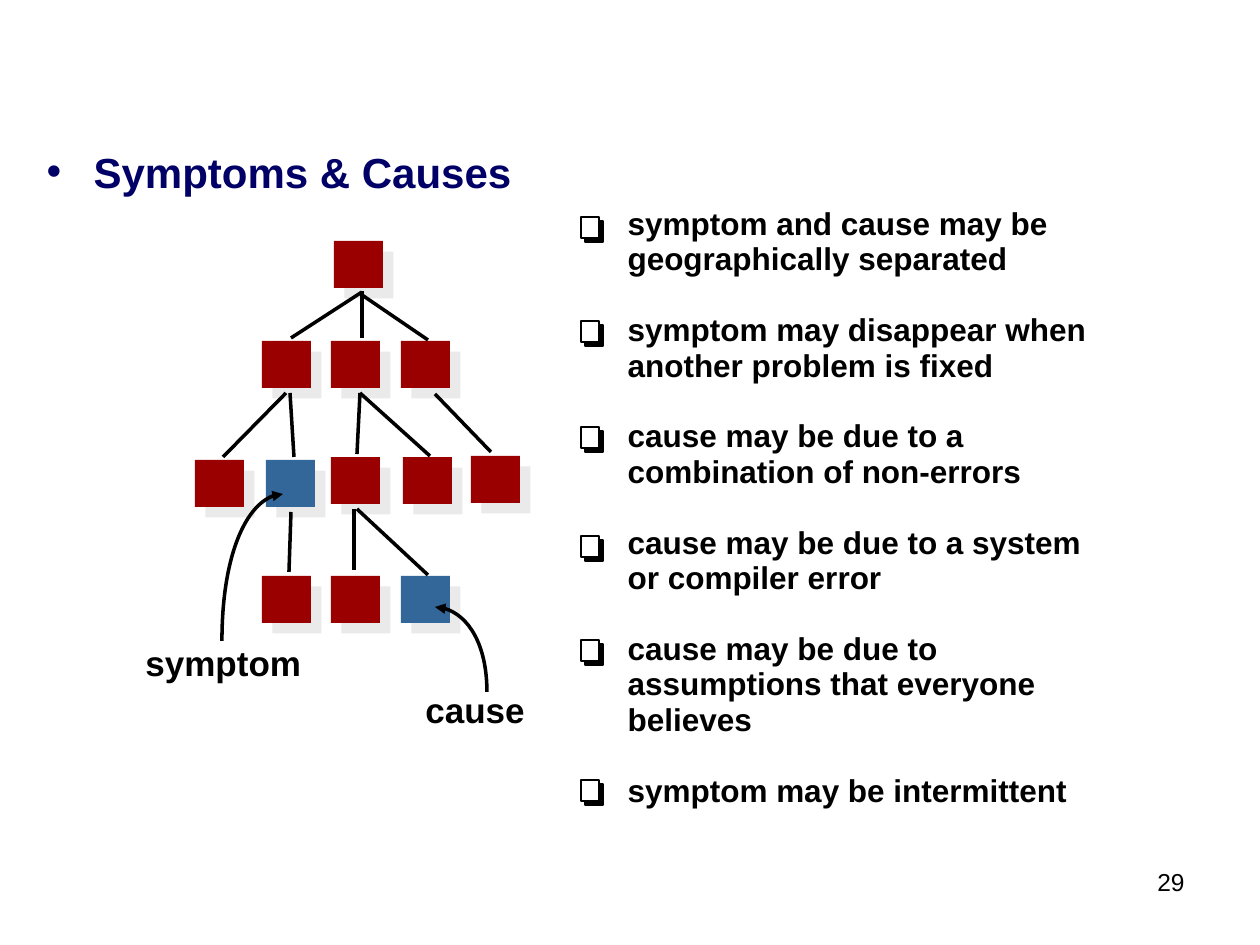
from dataclasses import dataclass

from lxml.etree import SubElement
from pptx import Presentation
from pptx.dml.color import RGBColor
from pptx.enum.shapes import MSO_CONNECTOR, MSO_SHAPE
from pptx.enum.text import MSO_ANCHOR, MSO_AUTO_SIZE, PP_ALIGN
from pptx.oxml.ns import qn
from pptx.util import Emu, Inches, Pt

EMU_PER_PX = Inches(1) / 126


@dataclass(frozen=True)
class Theme:
    font: str = "Arial"
    ink: str = "000000"
    paper: str = "FFFFFF"
    heading: str = "000066"
    module: str = "9A0000"
    marked: str = "336699"
    shadow: str = "EAEAEA"
    heading_size: float = 24
    label_size: float = 20
    list_size: float = 18
    list_pitch: float = 20.25
    number_size: float = 14
    outline: float = 1
    link: float = 2


def px(length):
    return Emu(round(length * EMU_PER_PX))


def rgb(value):
    return RGBColor.from_string(value)


class SlideBuilder:
    def __init__(self, slide, theme):
        self.slide = slide
        self.theme = theme

    def place(self, shape, *bounds):
        shape.left, shape.top, shape.width, shape.height = map(px, bounds)

    def add_text(self, paragraph, text, size, color, bold=True):
        run = paragraph.add_run()
        run.text = text
        run.font.name = self.theme.font
        run.font.size = Pt(size)
        run.font.bold = bold
        run.font.color.rgb = rgb(color)

    def heading(self, text, *bounds):
        title = self.slide.shapes.title
        self.place(title, *bounds)
        title.text_frame.vertical_anchor = MSO_ANCHOR.TOP
        paragraph = title.text_frame.paragraphs[0]
        props = paragraph._p.get_or_add_pPr()
        props.set("marL", str(px(47)))
        props.set("indent", str(px(-47)))
        bullet_color = SubElement(props, qn("a:buClr"))
        SubElement(bullet_color, qn("a:srgbClr"), val=self.theme.heading)
        SubElement(props, qn("a:buFont"), typeface=self.theme.font)
        SubElement(props, qn("a:buChar"), char="•")
        paragraph.alignment = PP_ALIGN.LEFT
        self.add_text(paragraph, text, self.theme.heading_size, self.theme.heading)

    def statements(self, items, *bounds):
        body = self.slide.placeholders[1]
        self.place(body, *bounds)
        frame = body.text_frame
        frame.auto_size = MSO_AUTO_SIZE.NONE
        frame.vertical_anchor = MSO_ANCHOR.TOP
        for index, item in enumerate(items):
            paragraph = frame.add_paragraph() if index else frame.paragraphs[0]
            props = paragraph._p.get_or_add_pPr()
            props.set("marL", "0")
            props.set("indent", "0")
            SubElement(props, qn("a:buNone"))
            paragraph.line_spacing = Pt(self.theme.list_pitch)
            paragraph.space_before = Pt(self.theme.list_pitch if index else 0)
            self.add_text(paragraph, item, self.theme.list_size, self.theme.ink)

    def label(self, text, size, *bounds, bold=True, align=PP_ALIGN.LEFT):
        box = self.slide.shapes.add_textbox(*map(px, bounds))
        box.text_frame.word_wrap = False
        paragraph = box.text_frame.paragraphs[0]
        paragraph.alignment = align
        self.add_text(paragraph, text, size, self.theme.ink, bold)

    def rectangle(self, shapes, fill, *bounds):
        shape = shapes.add_shape(MSO_SHAPE.RECTANGLE, *map(px, bounds))
        shape.shadow.inherit = False
        shape.fill.solid()
        shape.fill.fore_color.rgb = rgb(fill)
        return shape

    def module(self, left, top, marked):
        fill = self.theme.marked if marked else self.theme.module
        square = self.rectangle(self.slide.shapes, fill, left, top, 49, 47)
        square.line.fill.background()
        effects = square._element.spPr.find(qn("a:effectLst"))
        shadow = SubElement(effects, qn("a:outerShdw"), blurRad="0",
                            dist=str(Pt(8.5)), dir="2700000", algn="ctr",
                            rotWithShape="0")
        SubElement(shadow, qn("a:srgbClr"), val=self.theme.shadow)

    def checkbox(self, left, top):
        group = self.slide.shapes.add_group_shape()
        for fill, shift in ((self.theme.ink, 4), (self.theme.paper, 0)):
            box = self.rectangle(group.shapes, fill, left + shift, top + shift, 18, 21)
            self.stroke(box, self.theme.outline)

    def stroke(self, shape, width):
        shape.line.color.rgb = rgb(self.theme.ink)
        shape.line.width = Pt(width)

    def link(self, *ends):
        connector = self.slide.shapes.add_connector(MSO_CONNECTOR.STRAIGHT, *map(px, ends))
        self.stroke(connector, self.theme.link)
        SubElement(connector._element.spPr, qn("a:effectLst"))

    def curved_arrow(self, start, *controls_and_end):
        builder = self.slide.shapes.build_freeform(*start, scale=EMU_PER_PX)
        builder.add_line_segments(controls_and_end, close=False)
        curve = builder.convert_to_shape()
        curve.shadow.inherit = False
        curve.fill.background()
        self.stroke(curve, self.theme.link)
        line = curve._element.spPr.find(qn("a:ln"))
        SubElement(line, qn("a:tailEnd"), type="triangle")
        # Turn the three straight segments into one Bezier segment
        outline = curve._element.find(".//" + qn("a:path"))
        segments = outline.findall(qn("a:lnTo"))
        bezier = SubElement(outline, qn("a:cubicBezTo"))
        for segment in segments:
            bezier.append(segment[0])
            outline.remove(segment)


# Content: left, top of each module, and the line ends between modules
MODULES = [
    (334, 241),
    (262, 341), (331, 341), (401, 341),
    (195, 460), (266, 460), (331, 457), (403, 457), (471, 456),
    (262, 576), (331, 576), (401, 576),
]
SYMPTOM_AND_CAUSE = {(266, 460), (401, 576)}
LINKS = [
    (362, 292, 291, 338), (362, 291, 362, 338), (362, 295, 428, 340),
    (286, 393, 223, 457), (290, 393, 294, 457),
    (360, 393, 357, 454), (360, 393, 430, 456), (435, 394, 491, 452),
    (291, 512, 289, 572), (354, 509, 354, 570), (357, 509, 428, 575),
]
STATEMENTS = [
    "symptom and cause may be geographically separated",
    "symptom may disappear when another problem is fixed",
    "cause may be due to a combination of non-errors",
    "cause may be due to a system or compiler error",
    "cause may be due to assumptions that everyone believes",
    "symptom may be intermittent",
]
CHECKBOX_TOPS = [217, 321, 427, 536, 640, 780]


def main():
    deck = Presentation()
    deck.slide_width, deck.slide_height = Inches(10), Inches(7.5)
    theme = Theme()
    builder = SlideBuilder(deck.slides.add_slide(deck.slide_layouts[1]), theme)

    # Heading and slide number
    builder.heading("Symptoms & Causes", 34, 140, 1134, 120)
    builder.label("29", theme.number_size, 937, 861, 260, 65,
                  bold=False, align=PP_ALIGN.RIGHT)

    # Module tree
    for position in MODULES:
        builder.module(*position, marked=position in SYMPTOM_AND_CAUSE)
    for ends in LINKS:
        builder.link(*ends)

    # Labels with their pointers
    builder.label("symptom", theme.label_size, 133, 635, 181, 54)
    builder.label("cause", theme.label_size, 413, 682, 125, 54)
    builder.curved_arrow((222, 641), (222, 559), (249, 494), (283, 494))
    builder.curved_arrow((487, 692), (487, 645), (464, 607), (435, 607))

    # Statements with check boxes
    builder.statements(STATEMENTS, 615, 200, 504, 630)
    for top in CHECKBOX_TOPS:
        builder.checkbox(581, top)

    deck.save("out.pptx")


if __name__ == "__main__":
    main()
